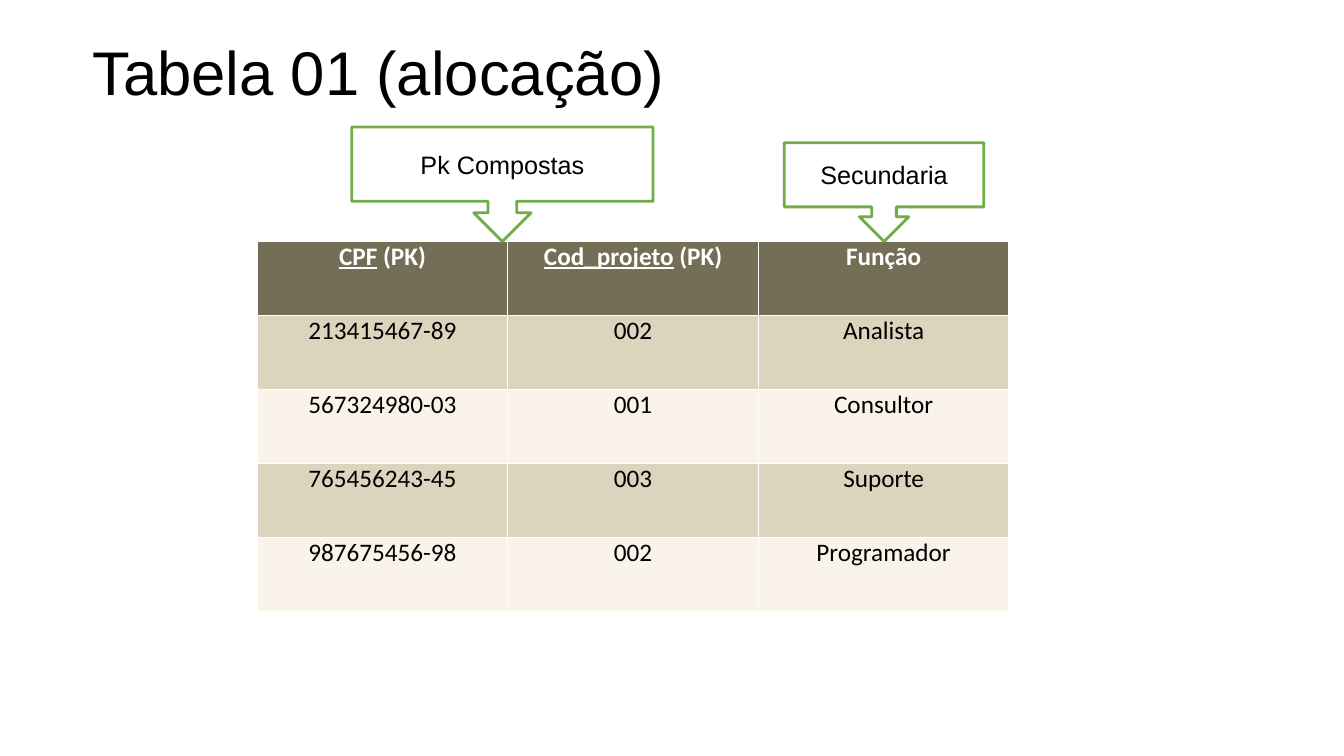
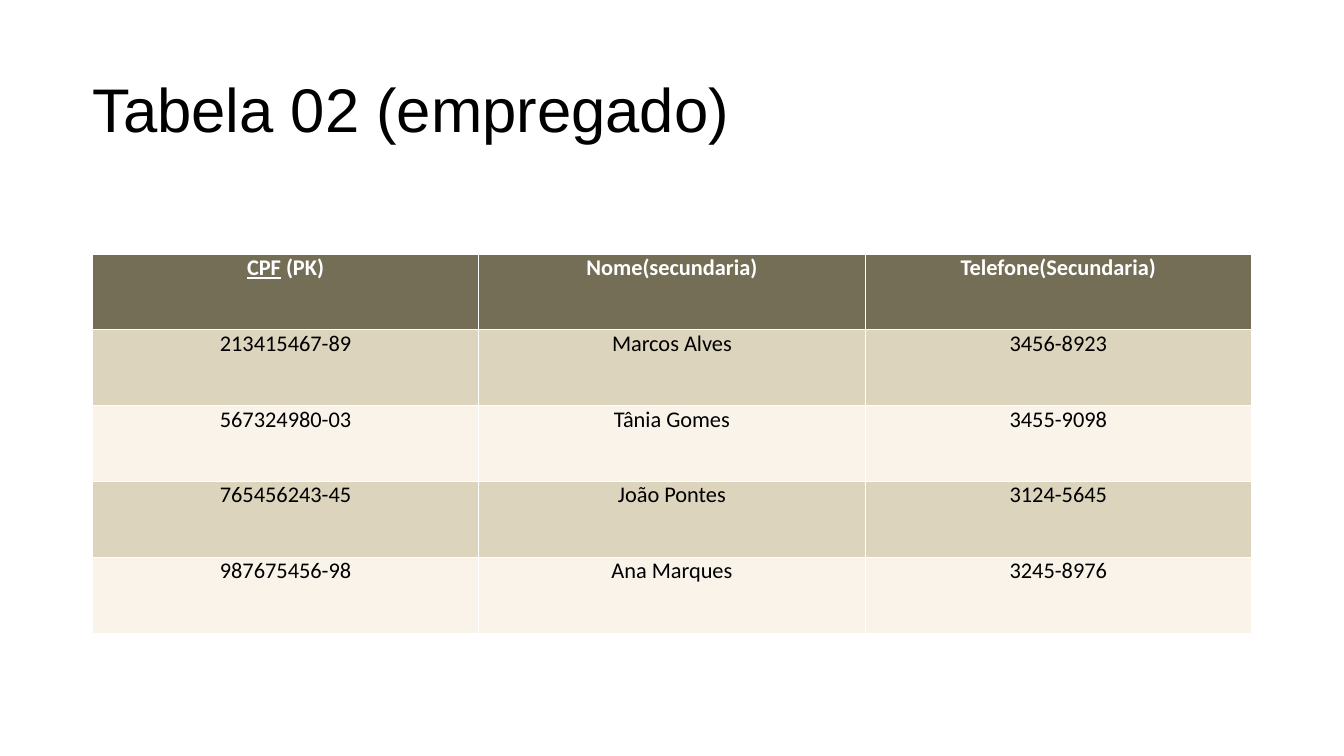
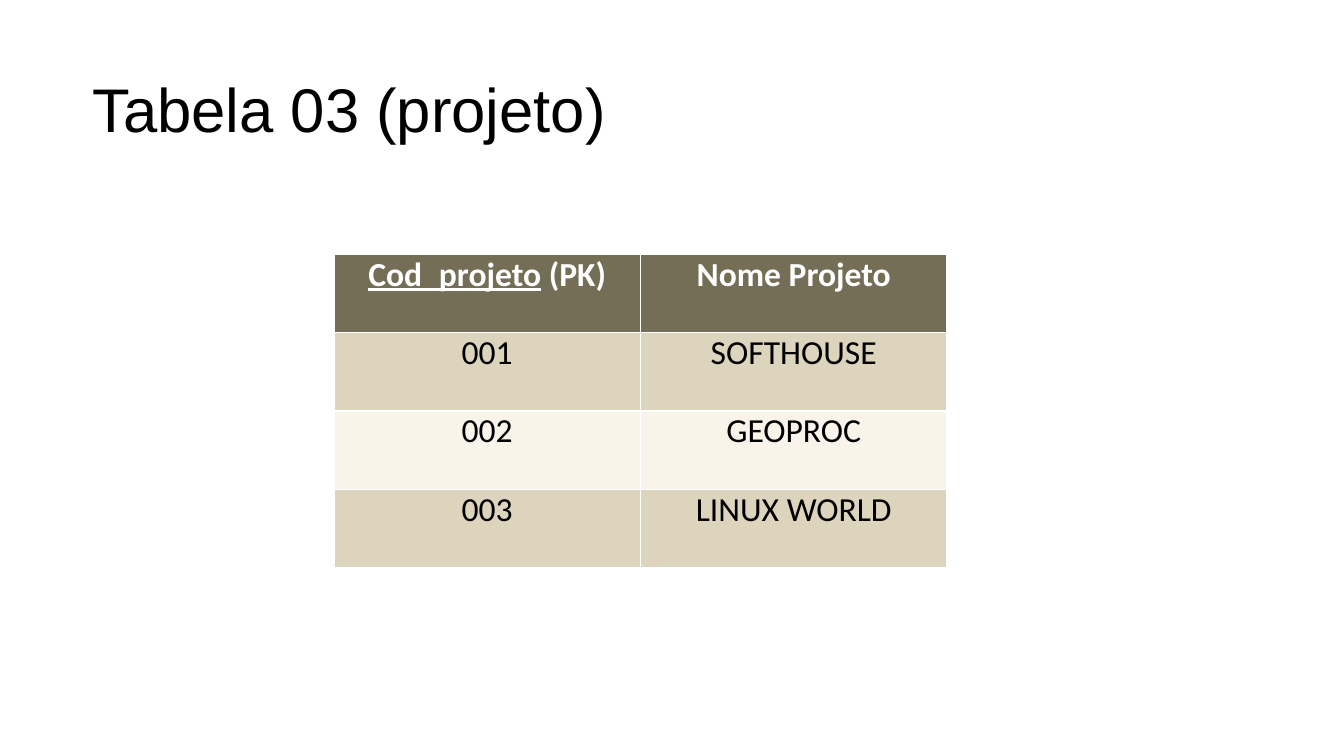
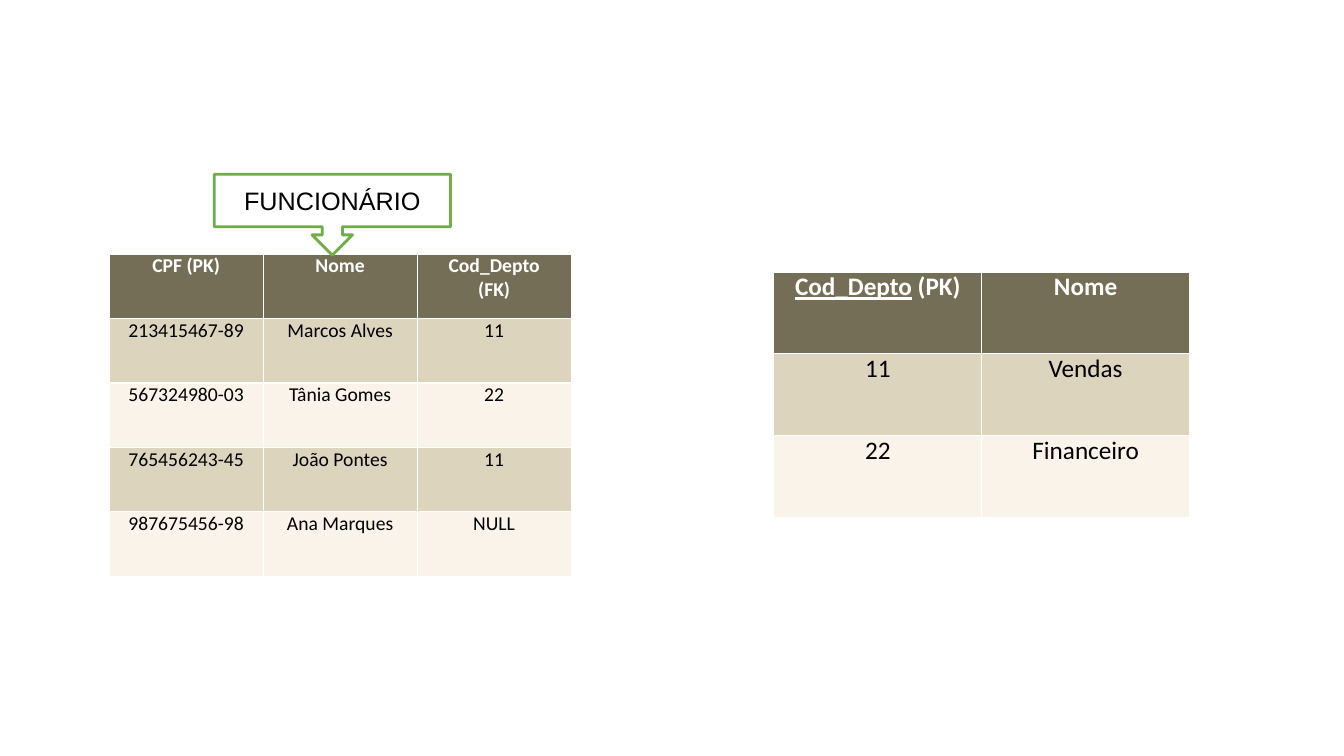
from pptx import Presentation
from pptx.dml.color import RGBColor as RGB
from pptx.enum.shapes import MSO_SHAPE as SHAPE
from pptx.enum.text import MSO_ANCHOR as ANCHOR, PP_ALIGN as ALIGN
from pptx.oxml import parse_xml
from pptx.oxml.ns import nsdecls
from pptx.util import Pt

PX = 9525
C = {
    "black": "000000",
    "white": "FFFFFF",
    "header": "756E56",
    "odd": "DCD4BD",
    "even": "F9F3EA",
    "green": "70AD47",
}
TITLE = {"name": "Arial", "size": Pt(44)}
CALLOUT = {"name": "Arial", "size": Pt(18)}
NO_INSETS = dict.fromkeys(["margin_left", "margin_right", "margin_top", "margin_bottom"], 0)
TITLE_FRAME = {**NO_INSETS, "word_wrap": True, "vertical_anchor": ANCHOR.MIDDLE}
CELL = {**NO_INSETS, "margin_left": 13 * PX, "margin_right": 13 * PX}

SLIDES = [
    {
        "title": ("Tabela 01 (alocação)", 39, 65),
        "tables": [((245, 230, 716, 353), 18, [
            ["CPF| (PK)", "Cod_projeto| (PK)", "Função"],
            ["213415467-89", "002", "Analista"],
            ["567324980-03", "001", "Consultor"],
            ["765456243-45", "003", "Suporte"],
            ["987675456-98", "002", "Programador"],
        ])],
        "callouts": [
            ("Secundaria", (747, 136, 190, 94)),
            ("Pk Compostas", (335, 121, 287, 109)),
        ],
    },
    {
        "title": ("Tabela 02 (empregado)", 38, 139),
        "tables": [((88, 242, 1104, 361), 16, [
            ["CPF| (PK)", "Nome(secundaria)", "Telefone(Secundaria)"],
            ["213415467-89", "Marcos Alves", "3456-8923"],
            ["567324980-03", "Tânia Gomes", "3455-9098"],
            ["765456243-45", "João Pontes", "3124-5645"],
            ["987675456-98", "Ana Marques", "3245-8976"],
        ])],
    },
    {
        "title": ("Tabela 03 (projeto)", 38, 139),
        "tables": [((318, 242, 584, 299), 24, [
            ["Cod_projeto| (PK)", "Nome Projeto"],
            ["001", "SOFTHOUSE"],
            ["002", "GEOPROC"],
            ["003", "LINUX WORLD"],
        ])],
    },
    {
        "tables": [
            ((104, 242, 440, 307), 14, [
                ["CPF (PK)", "Nome", "Cod_Depto (FK)"],
                ["213415467-89", "Marcos Alves", "11"],
                ["567324980-03", "Tânia Gomes", "22"],
                ["765456243-45", "João Pontes", "11"],
                ["987675456-98", "Ana Marques", "NULL"],
            ]),
            ((737, 259, 396, 234), 18, [
                ["Cod_Depto| (PK)", "Nome"],
                ["11", "Vendas"],
                ["22", "Financeiro"],
            ]),
        ],
        "callouts": [("FUNCIONÁRIO", (204, 166, 225, 77))],
    },
]


def apply(obj, values):
    for key, value in values.items():
        setattr(obj, key, value)


def add_run(p, text, color, font):
    r = p.add_run()
    r.text = text
    apply(r.font, font)
    r.font.color.rgb = RGB.from_string(C[color])


prs = Presentation()
prs.slide_width, prs.slide_height = 1280 * PX, 720 * PX

for content in SLIDES:
    s = prs.slides.add_slide(prs.slide_layouts[6])

    if "title" in content:
        text, top, height = content["title"]
        tf = s.shapes.add_textbox(88 * PX, top * PX, 1104 * PX, height * PX).text_frame
        apply(tf, TITLE_FRAME)
        p = tf.paragraphs[0]
        p.line_spacing = 0.9
        add_run(p, text, "black", TITLE)

    for box, size, rows in content["tables"]:
        x, y, w, h = [v * PX for v in box]
        table = s.shapes.add_table(len(rows), len(rows[0]), x, y, w, h).table
        for i, row in enumerate(rows):
            fill = "header" if i == 0 else "odd" if i % 2 else "even"
            for j, text in enumerate(row):
                cell = table.cell(i, j)
                apply(cell, CELL)
                tcPr = cell._tc.get_or_add_tcPr()
                for side in "LRTB":
                    tcPr.append(parse_xml(
                        f'<a:ln{side} {nsdecls("a")} w="12700"><a:solidFill>'
                        f'<a:srgbClr val="{C["white"]}"/></a:solidFill></a:ln{side}>'))
                cell.fill.solid()
                cell.fill.fore_color.rgb = RGB.from_string(C[fill])
                p = cell.text_frame.paragraphs[0]
                p.alignment = ALIGN.CENTER
                parts = text.split("|")
                for k, part in enumerate(parts):
                    add_run(p, part, "black" if i else "white", {
                        "name": "Calibri",
                        "size": Pt(size),
                        "bold": i == 0,
                        "underline": k < len(parts) - 1,
                    })

    for text, box in content.get("callouts", []):
        sp = s.shapes.add_shape(SHAPE.DOWN_ARROW_CALLOUT, *[v * PX for v in box])
        sp.shadow.inherit = False
        sp.fill.solid()
        sp.fill.fore_color.rgb = RGB.from_string(C["white"])
        sp.line.color.rgb = RGB.from_string(C["green"])
        sp.line.width = Pt(2)
        tf = sp.text_frame
        apply(tf, {"word_wrap": True, "vertical_anchor": ANCHOR.MIDDLE})
        p = tf.paragraphs[0]
        p.alignment = ALIGN.CENTER
        add_run(p, text, "black", CALLOUT)

prs.save("out.pptx")
